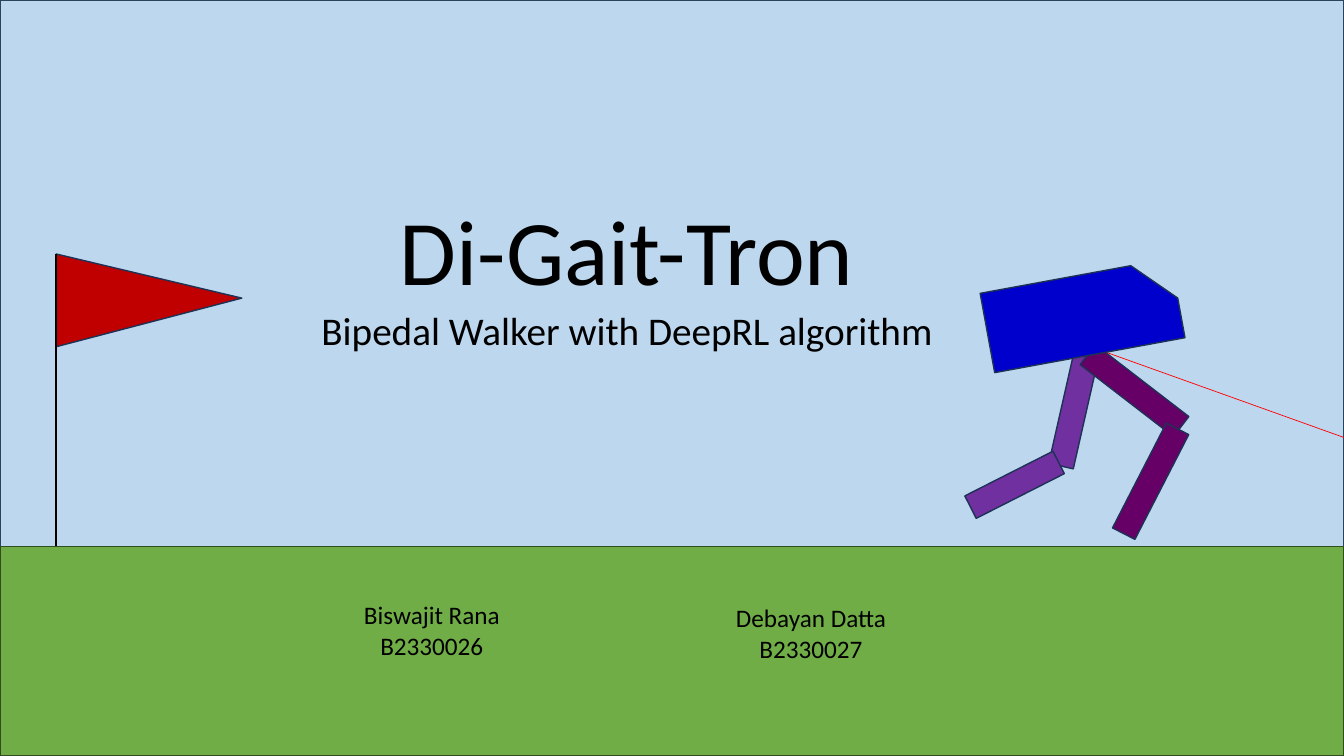
from lxml import etree
from pptx import Presentation
from pptx.dml.color import RGBColor
from pptx.enum import shapes, text
from pptx.oxml.ns import qn
from pptx.util import Pt

WIDTH, HEIGHT, HORIZON = 960, 540, 390.2
FONT, BLACK, OUTLINE = "Calibri", "000000", "1E3256"
NEAR_LEG, FAR_LEG = "660066", "7030A0"

RECT = shapes.MSO_SHAPE.RECTANGLE
TRIANGLE = shapes.MSO_SHAPE.ISOSCELES_TRIANGLE
SNIPPED = shapes.MSO_SHAPE.SNIP_1_RECTANGLE

# Each group: (kind, left, top, width, height, rotation, adjustment, fill, outline)
BEHIND_POLE = [
    (RECT, 0, 0, WIDTH, HORIZON, 0, None, "BDD7EE", "28445D"),
    (RECT, 758.2, 249.8, 18, 84.2, 12.8, None, FAR_LEG, OUTLINE),
    (RECT, 801.4, 236.9, 18, 84.2, 307.6, None, NEAR_LEG, OUTLINE),
    (TRIANGLE, 73.4, 148.3, 66.2, 132.5, 90, 0.476, "C00000", OUTLINE),
]
GROUND_AND_SHINS = [
    (RECT, 0, HORIZON, WIDTH, HEIGHT - HORIZON, 0, None, "70AD47", "314C1F"),
    (RECT, 812.9, 301.7, 18, 84.2, 27.2, None, NEAR_LEG, OUTLINE),
    (RECT, 715.7, 311, 18, 70.6, 63.1, None, FAR_LEG, OUTLINE),
]
TORSO = (SNIPPED, 704.2, 196.6, 138.2, 57.6, 349.6, 0.5, "0000CC", OUTLINE)

# (start x, start y, end x, end y, colour, width)
POLE = (40.3, 181.4, 40.3, 447.1, BLACK, 1.5)
LASER = (771.1, 244.8, WIDTH, 312.5, "FF0000", 0.5)

# (line, top, height, size)
HEADINGS = [
    ("Di-Gait-Tron", 138.2, 80.6, 66),
    ("Bipedal Walker with DeepRL algorithm", 218.8, 34.2, 28),
]
HEADING_LEFT, HEADING_WIDTH = 170.6, 554.4

# (lines, left, top)
AUTHORS = [
    (["Biswajit Rana", "B2330026"], 235.4, 424.8),
    (["Debayan Datta", "B2330027"], 506.2, 427),
]
AUTHOR_WIDTH, AUTHOR_HEIGHT = 146.2, 51.1


def color(value):
    return RGBColor.from_string(value)


def add_part(page, part):
    kind, left, top, width, height, rotation, adjustment, fill, outline = part
    shape = page.shapes.add_shape(kind, Pt(left), Pt(top), Pt(width), Pt(height))
    shape.rotation = rotation
    shape.shadow.inherit = False
    if adjustment is not None:
        shape.adjustments[len(shape.adjustments) - 1] = adjustment
    shape.fill.solid()
    shape.fill.fore_color.rgb = color(fill)
    shape.line.color.rgb = color(outline)
    shape.line.width = Pt(1)


def add_line(page, start_x, start_y, end_x, end_y, stroke, width):
    line = page.shapes.add_connector(
        shapes.MSO_CONNECTOR.STRAIGHT, Pt(start_x), Pt(start_y), Pt(end_x), Pt(end_y))
    line.line.color.rgb = color(stroke)
    line.line.width = Pt(width)
    properties = line.element.find(qn("p:spPr"))
    etree.SubElement(properties, qn("a:effectLst"))


def write(box, lines, size):
    """Fill a box with centred black lines, one paragraph each."""
    frame = box.text_frame
    frame.text = "\n".join(lines)
    frame.word_wrap = True
    frame.auto_size = text.MSO_AUTO_SIZE.NONE
    frame.vertical_anchor = text.MSO_ANCHOR.TOP
    for para in frame.paragraphs:
        para.alignment = text.PP_ALIGN.CENTER
        para.space_before = Pt(0)
        para.font.name = FONT
        para.font.size = Pt(size)
        para.font.color.rgb = color(BLACK)


def place_heading(box, line, top, height, size):
    """Move a placeholder into position, in front of the scenery."""
    box.left, box.top = Pt(HEADING_LEFT), Pt(top)
    box.width, box.height = Pt(HEADING_WIDTH), Pt(height)
    write(box, [line], size)
    box.text_frame.margin_top = box.text_frame.margin_bottom = 0
    box.element.getparent().append(box.element)


def main():
    deck = Presentation()
    deck.slide_width, deck.slide_height = Pt(WIDTH), Pt(HEIGHT)
    page = deck.slides.add_slide(deck.slide_layouts[0])
    headings = list(page.placeholders)

    for part in BEHIND_POLE:
        add_part(page, part)
    add_line(page, *POLE)
    for part in GROUND_AND_SHINS:
        add_part(page, part)
    add_line(page, *LASER)
    add_part(page, TORSO)

    for box, heading in zip(headings, HEADINGS):
        place_heading(box, *heading)
    for lines, left, top in AUTHORS:
        box = page.shapes.add_textbox(
            Pt(left), Pt(top), Pt(AUTHOR_WIDTH), Pt(AUTHOR_HEIGHT))
        write(box, lines, 18)

    deck.save("out.pptx")


if __name__ == "__main__":
    main()
